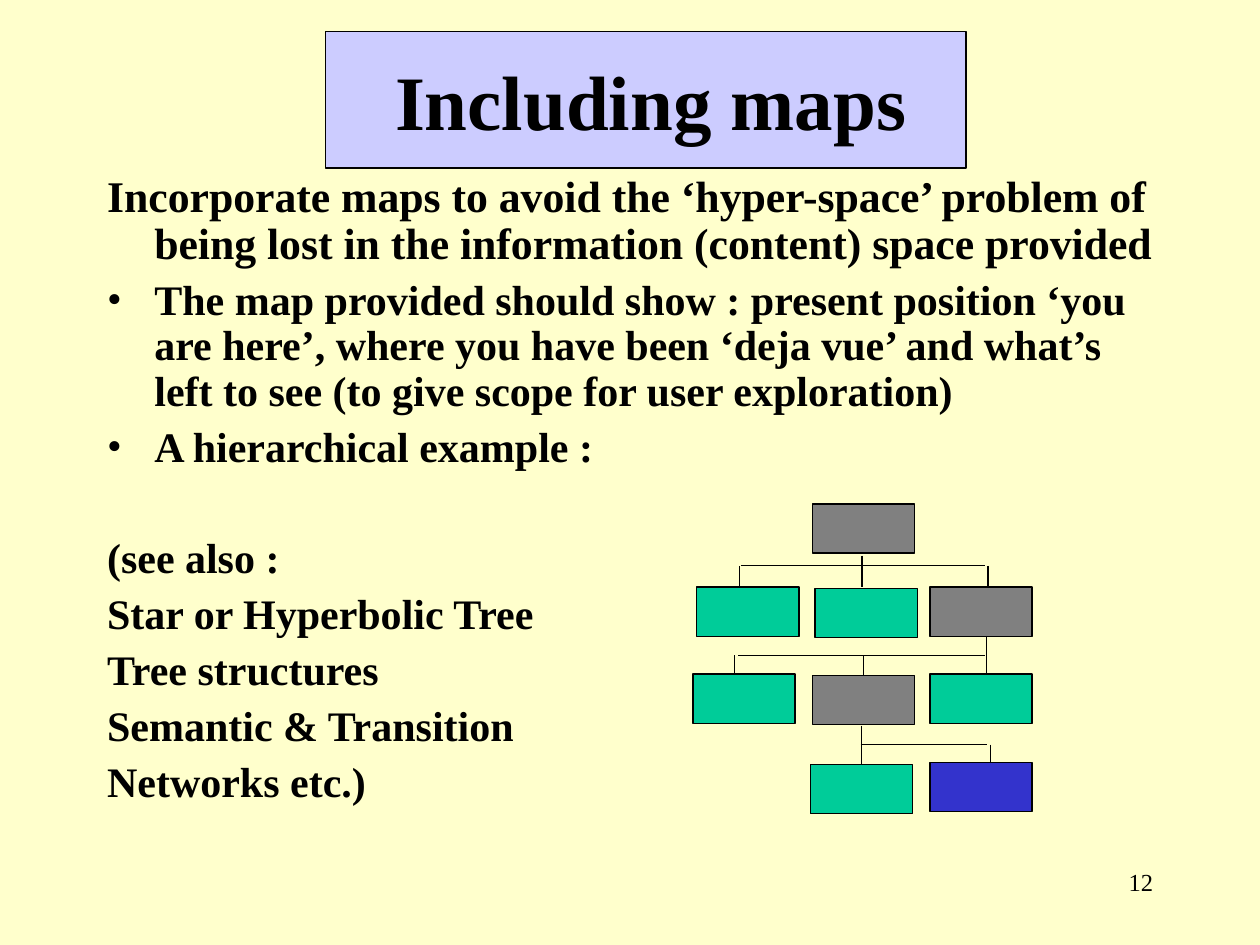
from dataclasses import dataclass

from lxml import etree
from pptx import Presentation
from pptx import util as u
from pptx.dml.color import RGBColor
from pptx.enum import shapes, text
from pptx.oxml import ns


@dataclass(frozen=True)
class Theme:
    font: str = "Times New Roman"
    paper: str = "FFFFCC"
    ink: str = "000000"
    banner: str = "CCCCFF"
    visited: str = "808080"
    unvisited: str = "00CC99"
    current: str = "3333CC"
    title: float = 44
    lead: float = 25
    body: float = 24
    number: float = 14
    line: float = 0.75


class SlideBuilder:
    def __init__(self, page, theme):
        self.page = page
        self.theme = theme
        page.background.fill.solid()
        page.background.fill.fore_color.rgb = RGBColor.from_string(theme.paper)

    def style(self, para, size, bold=True):
        for span in para.runs:
            span.font.name = self.theme.font
            span.font.size = u.Pt(size)
            span.font.bold = bold
            span.font.color.rgb = RGBColor.from_string(self.theme.ink)

    def place(self, shape, left, top, width, height):
        shape.left, shape.top = u.Pt(left), u.Pt(top)
        shape.width, shape.height = u.Pt(width), u.Pt(height)

    def title(self, wording, *area):
        box = self.page.shapes.title
        self.place(box, *area)
        frame = box.text_frame
        frame.text = wording
        frame.auto_size = text.MSO_AUTO_SIZE.NONE
        frame.vertical_anchor = text.MSO_ANCHOR.MIDDLE
        para = frame.paragraphs[0]
        para.alignment = text.PP_ALIGN.CENTER
        self.style(para, self.theme.title)

    def body(self, items, *area):
        """Each item is wording, size, space before, bulleted."""
        box = self.page.placeholders[1]
        self.place(box, *area)
        frame = box.text_frame
        frame.text = "\n".join(item[0] for item in items)
        frame.auto_size = text.MSO_AUTO_SIZE.NONE
        frame.vertical_anchor = text.MSO_ANCHOR.TOP
        for para, (_, size, gap, bulleted) in zip(frame.paragraphs, items):
            para.line_spacing = 0.9
            para.space_before = u.Pt(gap)
            para.alignment = text.PP_ALIGN.LEFT
            self.style(para, size)
            self.hang(para, 27, bulleted)

    def hang(self, para, indent, bulleted):
        props = para._p.get_or_add_pPr()
        props.set("marL", str(u.Pt(indent)))
        props.set("indent", str(-u.Pt(indent)))
        if bulleted:
            etree.SubElement(props, ns.qn("a:buFont")).set("typeface", self.theme.font)
            etree.SubElement(props, ns.qn("a:buChar")).set("char", "•")
        else:
            etree.SubElement(props, ns.qn("a:buNone"))

    def label(self, wording, *area):
        box = self.page.shapes.add_textbox(*map(u.Pt, area))
        box.text_frame.word_wrap = True
        box.text_frame.text = wording
        para = box.text_frame.paragraphs[0]
        para.alignment = text.PP_ALIGN.RIGHT
        self.style(para, self.theme.number, bold=False)

    def rectangle(self, fill, *area):
        box = self.page.shapes.add_shape(
            shapes.MSO_SHAPE.RECTANGLE, *map(u.Pt, area))
        box.shadow.inherit = False
        box.fill.solid()
        box.fill.fore_color.rgb = RGBColor.from_string(fill)
        box.line.color.rgb = RGBColor.from_string(self.theme.ink)
        box.line.width = u.Pt(self.theme.line)
        return box

    def line(self, x1, y1, x2, y2, target=None):
        link = self.page.shapes.add_connector(
            shapes.MSO_CONNECTOR.STRAIGHT, *map(u.Pt, (x1, y1, x2, y2)))
        link.line.color.rgb = RGBColor.from_string(self.theme.ink)
        link.line.width = u.Pt(self.theme.line)
        etree.SubElement(link._element.spPr, ns.qn("a:effectLst"))
        if target is not None:
            link.end_connect(target, 0)


def main():
    theme = Theme()
    deck = Presentation()
    deck.slide_width, deck.slide_height = u.Pt(720), u.Pt(540)
    page = deck.slides.add_slide(deck.slide_layouts[1])
    slide = SlideBuilder(page, theme)

    # Title on its banner, which lies behind it
    banner = slide.rectangle(theme.banner, 186, 18, 366, 78)
    page.shapes.title._element.addprevious(banner._element)
    slide.title("Including maps", 174, 18, 396, 78)

    # Body text; the larger gap sets the references apart
    slide.body([
        ("Incorporate maps to avoid the ‘hyper-space’ problem of being lost "
         "in the information (content) space provided", theme.lead, 6.2, False),
        ("The map provided should show : present position ‘you are here’, "
         "where you have been ‘deja vue’ and what’s left to see "
         "(to give scope for user exploration)", theme.body, 6, True),
        ("A hierarchical example :", theme.body, 6, True),
        ("(see also :", theme.body, 38, False),
        ("Star or Hyperbolic Tree", theme.body, 6, False),
        ("Tree structures", theme.body, 6, False),
        ("Semantic & Transition", theme.body, 6, False),
        ("Networks etc.)", theme.body, 6, False),
    ], 54, 96, 612, 402)

    # Map nodes, level by level
    node_width, node_height = 58.4, 28.1
    nodes = [slide.rectangle(fill, left, top, node_width, node_height)
             for fill, left, top in (
                 (theme.visited, 464.4, 288),
                 (theme.unvisited, 398.2, 335.5),
                 (theme.unvisited, 465.8, 336.2),
                 (theme.visited, 531.4, 335.5),
                 (theme.unvisited, 396, 385.2),
                 (theme.visited, 464.4, 385.9),
                 (theme.unvisited, 531.4, 385.2),
                 (theme.unvisited, 463, 437),
                 (theme.current, 531.4, 435.6))]
    branch, leaf = nodes[5], nodes[7]

    # Horizontal rails between levels
    for left, right, height in ((423.4, 563, 323.3), (421.9, 563, 374.4),
                                (491.8, 563.8, 425.5)):
        slide.line(left, height, right, height)

    # Vertical drops to the nodes
    for across, top, bottom, target in (
            (492.5, 317.5, 335.5, None),
            (422.6, 323.3, 335.5, None),
            (564.5, 323.3, 335.5, None),
            (563.8, 364.3, 385.2, None),
            (419.8, 374.4, 385.2, None),
            (493.6, 374.4, 385.9, branch),
            (492.2, 414.7, 437, leaf),
            (565.9, 425.5, 436.3, None)):
        slide.line(across, top, across, bottom, target)

    # Page number
    slide.label("12", 516, 492, 150, 36)

    deck.save("out.pptx")


if __name__ == "__main__":
    main()
